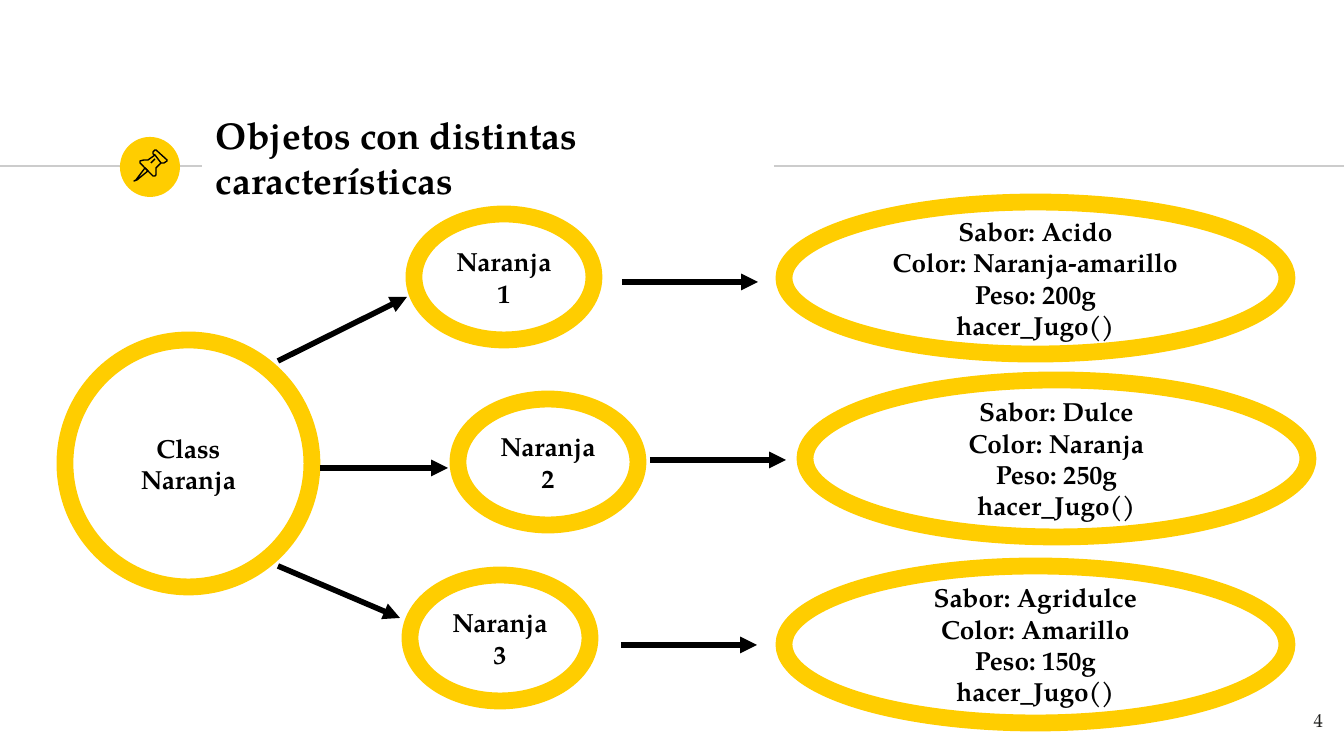
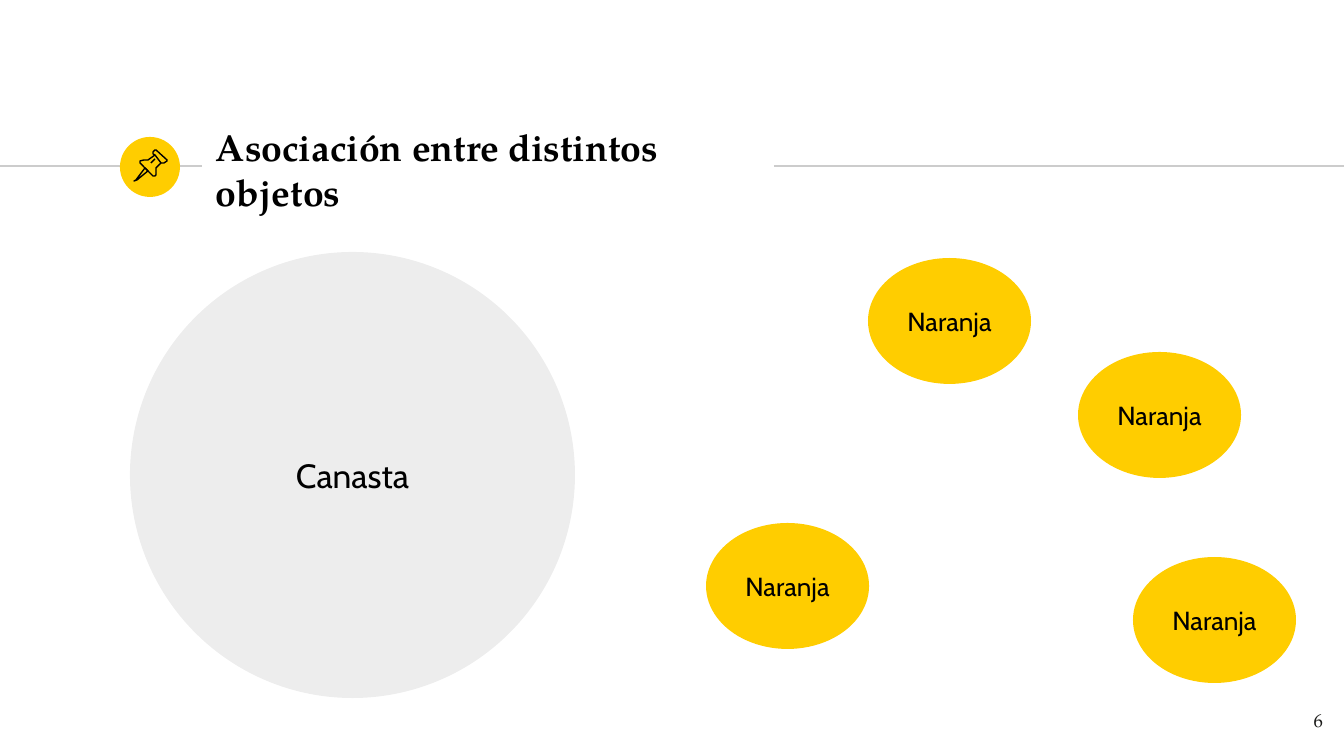
import dataclasses

import pptx
import pptx.dml.color
import pptx.enum.shapes
import pptx.enum.text
import pptx.oxml
import pptx.oxml.ns
import pptx.util

EMU_PER_PX = 914400 / 134.4
SLIDE_WIDTH, SLIDE_HEIGHT = 1344, 756
INSET = 13

YELLOW = pptx.dml.color.RGBColor(0xFF, 0xCD, 0x00)
BLACK = pptx.dml.color.RGBColor(0x00, 0x00, 0x00)
INK = pptx.dml.color.RGBColor(0x1D, 0x1D, 0x1B)
RULE_GRAY = pptx.dml.color.RGBColor(0xCC, 0xCC, 0xCC)
SERIF = "TeX Gyre Pagella"
SANS = "Cabin"

ALIGN = pptx.enum.text.PP_ALIGN
ANCHOR = pptx.enum.text.MSO_ANCHOR

PIN_OUTLINES = (
    (((25, 31), (16, 43), (14, 44), (17, 43), (28, 34)), True),
    (((35, 18), (41, 26), (44, 26), (47, 24), (47, 23), (36, 13),
      (35, 13), (33, 15), (33, 17)), True),
    (((35, 18), (28, 23), (24, 23), (20, 24), (20, 26), (33, 39),
      (35, 39), (36, 38), (36, 31), (41, 26)), False),
    (((31, 26), (35, 22)), False),
)


@dataclasses.dataclass(frozen=True)
class Box:
    left: int
    top: int
    width: int
    height: int

    def inner(self, left, top, width, height):
        return Box(self.left + left, self.top + top, width, height)

    def point(self, x, y):
        return self.left + x, self.top + y

    def emu(self):
        return [px(value) for value in dataclasses.astuple(self)]


@dataclasses.dataclass(frozen=True)
class TextStyle:
    font: str
    size: int
    color: pptx.dml.color.RGBColor = BLACK
    bold: bool = False
    align: ALIGN = ALIGN.CENTER
    anchor: ANCHOR = ANCHOR.MIDDLE


TITLE = TextStyle(SERIF, 20, bold=True, align=ALIGN.LEFT)
PAGE_NUMBER = TextStyle(SERIF, 10, INK, align=ALIGN.RIGHT, anchor=ANCHOR.TOP)
DIAGRAM = TextStyle(SERIF, 14, bold=True)
BASKET = TextStyle(SANS, 18)
ORANGE = TextStyle(SANS, 14)

HEADER = Box(0, 125, SLIDE_WIDTH, 77)
BODY = Box(0, 190, SLIDE_WIDTH, 566)
FOOTER = Box(1255, 698, 81, 58)


def px(value):
    return pptx.util.Emu(round(value * EMU_PER_PX))


def write_text(shape, lines, style):
    frame = shape.text_frame
    frame.word_wrap = True
    frame.vertical_anchor = style.anchor
    frame.margin_left = frame.margin_right = px(INSET)
    frame.margin_top = frame.margin_bottom = px(INSET)
    for index, line in enumerate(lines):
        paragraph = frame.add_paragraph() if index else frame.paragraphs[0]
        paragraph.alignment = style.align
        run = paragraph.add_run()
        run.text = line
        run.font.name = style.font
        run.font.size = pptx.util.Pt(style.size)
        run.font.bold = style.bold
        run.font.color.rgb = style.color


def add_text(slide, box, text, style):
    write_text(slide.shapes.add_textbox(*box.emu()), [text], style)


def add_ellipse(slide, box, lines=(), style=None, fill=None, outline=None):
    shape = slide.shapes.add_shape(
        pptx.enum.shapes.MSO_SHAPE.OVAL, *box.emu())
    shape.shadow.inherit = False
    if fill is None:
        shape.fill.background()
    else:
        shape.fill.solid()
        shape.fill.fore_color.rgb = fill
    if outline is None:
        shape.line.fill.background()
    else:
        shape.line.color.rgb = outline
        shape.line.width = pptx.util.Pt(9)
    if lines:
        write_text(shape, lines, style)
    return shape


def add_line(slide, start, end, color, width, arrow=False):
    connector = slide.shapes.add_connector(
        pptx.enum.shapes.MSO_CONNECTOR.STRAIGHT,
        *[px(value) for value in (*start, *end)])
    connector.line.color.rgb = color
    connector.line.width = pptx.util.Pt(width)
    if arrow:
        line = connector.line._get_or_add_ln()
        tail = pptx.oxml.ns.qn("a:tailEnd")
        line.append(line.makeelement(tail, {"type": "triangle"}))
    properties = connector._element.spPr
    properties.append(
        properties.makeelement(pptx.oxml.ns.qn("a:effectLst"), {}))


def add_arrow(slide, box, start, end):
    add_line(slide, box.point(*start), box.point(*end), BLACK, 3, arrow=True)


def set_opacity(shape, percent):
    color = shape._element.spPr.find(".//" + pptx.oxml.ns.qn("a:srgbClr"))
    alpha = pptx.oxml.ns.qn("a:alpha")
    color.append(color.makeelement(alpha, {"val": str(percent * 1000)}))


def add_pin_badge(slide, box):
    add_ellipse(slide, box, fill=YELLOW)
    for points, closed in PIN_OUTLINES:
        first, *others = [box.point(*point) for point in points]
        builder = slide.shapes.build_freeform(*first, scale=EMU_PER_PX)
        builder.add_line_segments(others, close=closed)
        shape = builder.convert_to_shape()
        shape.shadow.inherit = False
        shape.fill.background()
        shape.line.color.rgb = BLACK
        shape.line.width = pptx.util.Pt(0.75)


def add_header(slide, box, title, title_top):
    for start, end in ((0, 202), (774, box.width)):
        add_line(slide, box.point(start, 41), box.point(end, 41),
                 RULE_GRAY, 0.75)
    add_pin_badge(slide, box.inner(120, 12, 60, 60))
    add_text(slide, box.inner(203, title_top, 570, 65), title, TITLE)


def add_slide(presentation, title, title_top, number):
    slide = presentation.slides.add_slide(presentation.slide_layouts[6])
    add_header(slide, HEADER, title, title_top)
    add_text(slide, FOOTER, number, PAGE_NUMBER)
    return slide


def add_object_diagram(slide, box):
    add_ellipse(slide, box.inner(65, 150, 247, 247), ["Class Naranja"],
                DIAGRAM, outline=YELLOW)
    class_arrows = (
        ((278, 171), (407, 107)),
        ((320, 278), (448, 278)),
        ((278, 376), (400, 428)),
    )
    for start, end in class_arrows:
        add_arrow(slide, box, start, end)

    objects = (
        ((414, 24), (622, 92), (784, 12, 152), "Acido", "Naranja-amarillo", 200),
        ((458, 209), (650, 270), (805, 190, 157), "Dulce", "Naranja", 250),
        ((410, 385), (621, 455), (784, 376, 157), "Agridulce", "Amarillo", 150),
    )
    for number, (place, arrow, detail, flavor, color, weight) in enumerate(
            objects, 1):
        add_ellipse(slide, box.inner(*place, 180, 126),
                    [f"Naranja {number}"], DIAGRAM, outline=YELLOW)
        add_arrow(slide, box, arrow, (arrow[0] + 136, arrow[1]))
        left, top, height = detail
        add_ellipse(
            slide, box.inner(left, top, 503, height),
            [f"Sabor: {flavor}", f"Color: {color}", f"Peso: {weight}g",
             "hacer_Jugo()"],
            DIAGRAM, outline=YELLOW)


def add_basket_and_oranges(slide, box):
    basket = add_ellipse(slide, box.inner(130, 62, 445, 446), ["Canasta"],
                         BASKET, fill=BLACK)
    set_opacity(basket, 7)
    for left, top in ((706, 333), (868, 68), (1078, 162), (1133, 367)):
        add_ellipse(slide, box.inner(left, top, 163, 126), ["Naranja"],
                    ORANGE, fill=YELLOW)


def main():
    presentation = pptx.Presentation()
    presentation.slide_width = px(SLIDE_WIDTH)
    presentation.slide_height = px(SLIDE_HEIGHT)
    slide = add_slide(
        presentation, "Objetos con distintas características", 0, "4")
    add_object_diagram(slide, BODY)
    slide = add_slide(
        presentation, "Asociación entre distintos objetos", 12, "6")
    add_basket_and_oranges(slide, BODY)
    presentation.save("out.pptx")


if __name__ == "__main__":
    main()
